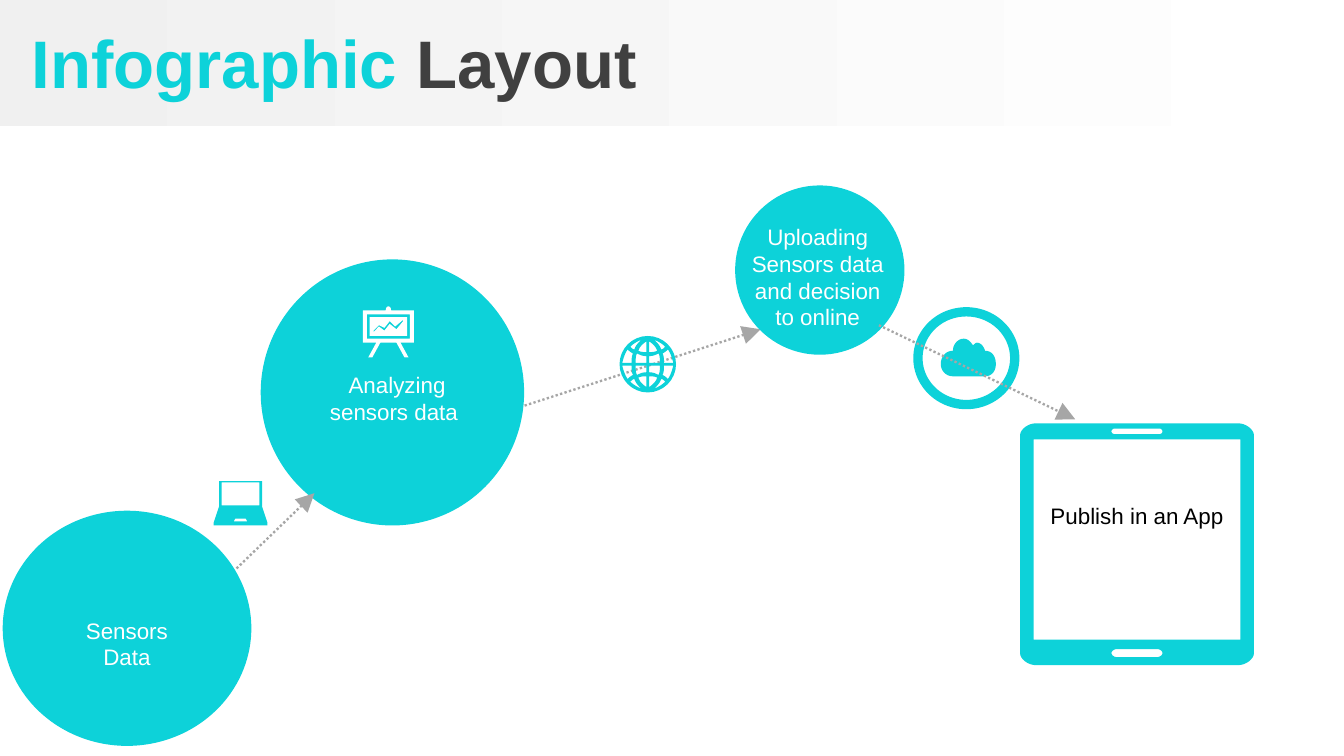
from dataclasses import dataclass

from lxml.etree import SubElement
from pptx import Presentation
from pptx.dml.color import RGBColor
from pptx.enum.dml import MSO_LINE
from pptx.enum.shapes import MSO_CONNECTOR, MSO_SHAPE
from pptx.enum.text import MSO_ANCHOR, MSO_AUTO_SIZE, PP_ALIGN
from pptx.oxml.ns import qn
from pptx.util import Inches, Pt

COLUMNS = 10
ROWS = COLUMNS * 9 / 16


@dataclass(frozen=True)
class Theme:
    accent: str = "0DD2D9"
    dark: str = "404040"
    black: str = "000000"
    white: str = "FFFFFF"
    band: str = "F0F0F0"
    arrow: str = "A6A6A6"
    font: str = "Arial"
    title_size: int = 36
    body_size: int = 12
    arrow_width: float = 1.25
    ring_width: int = 5


def box(left, top, right, bottom):
    return [(left, top), (right, top), (right, bottom), (left, bottom)]


def rounded_box(left, top, right, bottom, across, down):
    """Outline of a box whose corners are curves of the given radii."""
    return [
        (left + across, top), (right - across, top),
        (right - across / 2, top, right, top + down / 2, right, top + down),
        (right, bottom - down),
        (right, bottom - down / 2, right - across / 2, bottom, right - across, bottom),
        (left + across, bottom),
        (left + across / 2, bottom, left, bottom - down / 2, left, bottom - down),
        (left, top + down),
        (left, top + down / 2, left + across / 2, top, left + across, top),
    ]


def flatten(outline, steps=8):
    """Turn (x, y) corners and six-number Bezier curves into plain points."""
    points = []
    for item in outline:
        if len(item) == 2:
            points.append(item)
            continue
        controls = [points[-1], item[:2], item[2:4], item[4:]]
        for step in range(1, steps + 1):
            t = step / steps
            weights = ((1 - t) ** 3, 3 * t * (1 - t) ** 2, 3 * t * t * (1 - t), t ** 3)
            points.append(tuple(
                sum(weight * control[axis] for weight, control in zip(weights, controls))
                for axis in (0, 1)))
    return points


def globe_outlines(center_x, center_y, radius):
    """A disc and four openings that are mirrored into each quarter."""
    arc = 0.55 * radius
    disc = [(center_x, center_y - radius)]
    for start, end in (((0, -1), (1, 0)), ((1, 0), (0, 1)), ((0, 1), (-1, 0)), ((-1, 0), (0, -1))):
        disc.append((
            center_x + start[0] * radius + end[0] * arc,
            center_y + start[1] * radius + end[1] * arc,
            center_x + end[0] * radius + start[0] * arc,
            center_y + end[1] * radius + start[1] * arc,
            center_x + end[0] * radius, center_y + end[1] * radius))
    openings = [
        [(0.01, 0.01), (0.09, 0.01), (0.09, 0.05, 0.09, 0.06, 0.08, 0.08),
         (0.06, 0.07, 0.04, 0.06, 0.01, 0.06)],
        [(0.12, 0.01), (0.19, 0.01), (0.18, 0.05, 0.17, 0.08, 0.15, 0.11),
         (0.14, 0.1, 0.13, 0.09, 0.11, 0.08), (0.12, 0.06, 0.12, 0.04, 0.12, 0.01)],
        [(0.01, 0.09), (0.03, 0.09, 0.05, 0.09, 0.07, 0.1),
         (0.06, 0.13, 0.04, 0.15, 0.01, 0.17)],
        [(0.1, 0.11), (0.11, 0.11, 0.12, 0.12, 0.13, 0.13),
         (0.11, 0.15, 0.08, 0.17, 0.05, 0.18), (0.07, 0.16, 0.09, 0.14, 0.1, 0.11)],
    ]
    return [disc] + [
        [(center_x + across * x, center_y + down * y) for x, y in flatten(opening)]
        for across in (-1, 1) for down in (-1, 1) for opening in openings]


CLOUD = [[
    (7.17, 2.52), (7.2, 2.52, 7.22, 2.54, 7.24, 2.57), (7.25, 2.56, 7.26, 2.55, 7.27, 2.55),
    (7.3, 2.55, 7.32, 2.58, 7.33, 2.61), (7.38, 2.61, 7.41, 2.65, 7.41, 2.71),
    (7.41, 2.76, 7.38, 2.8, 7.33, 2.8), (7.09, 2.8), (7.04, 2.8, 7, 2.76, 7, 2.71),
    (7, 2.65, 7.04, 2.61, 7.09, 2.61), (7.09, 2.56, 7.13, 2.52, 7.17, 2.52),
]]
LAPTOP = [
    [(1.63, 3.58), (1.95, 3.58), (1.95, 3.77), (1.99, 3.89), (1.99, 3.91),
     (1.59, 3.91), (1.59, 3.89), (1.63, 3.77)],
    box(1.65, 3.59, 1.93, 3.76),
    [(1.75, 3.86), (1.83, 3.86), (1.84, 3.88), (1.74, 3.88)],
]
EASEL = [
    [(2.7, 2.31), (2.87, 2.31), (2.87, 2.27, 2.91, 2.27, 2.91, 2.31), (3.08, 2.31),
     (3.08, 2.55), (2.98, 2.55), (3.04, 2.66), (3.01, 2.66), (2.95, 2.55), (2.83, 2.55),
     (2.77, 2.66), (2.74, 2.66), (2.8, 2.55), (2.7, 2.55)],
    box(2.73, 2.34, 3.05, 2.52),
    box(2.75, 2.36, 3.03, 2.5),
    [(2.78, 2.46), (2.82, 2.42), (2.86, 2.44), (2.9, 2.39), (2.94, 2.43), (3, 2.38),
     (3, 2.39), (2.95, 2.45), (2.9, 2.41), (2.86, 2.46), (2.82, 2.43), (2.78, 2.47)],
]
TABLET = [
    rounded_box(7.59, 3.15, 9.33, 4.95, 0.12, 0.09),
    box(7.69, 3.27, 9.23, 4.76),
    rounded_box(8.27, 3.19, 8.65, 3.23, 0.02, 0.02),
    rounded_box(8.27, 4.83, 8.65, 4.89, 0.04, 0.03),
]


class SlideBuilder:
    """Draws on a grid of COLUMNS by ROWS that spans the slide."""

    def __init__(self, presentation, theme):
        self.theme = theme
        self.column = presentation.slide_width / COLUMNS
        self.row = presentation.slide_height / ROWS
        self.slide = presentation.slides.add_slide(presentation.slide_layouts[6])
        self.shapes = self.slide.shapes

    def place(self, *lengths):
        return [round(length * (self.row if index % 2 else self.column))
                for index, length in enumerate(lengths)]

    def paint(self, shape, fill, line=None):
        shape.shadow.inherit = False
        shape.fill.solid()
        shape.fill.fore_color.rgb = RGBColor.from_string(fill)
        if line:
            shape.line.color.rgb = RGBColor.from_string(line)
            shape.line.width = Pt(self.theme.ring_width)
        else:
            shape.line.fill.background()

    def band(self, *area):
        shape = self.shapes.add_shape(MSO_SHAPE.RECTANGLE, *self.place(*area))
        self.paint(shape, self.theme.band)
        shape.fill.gradient()
        shape.fill.gradient_angle = 0
        for stop, position, color in zip(
                shape.fill.gradient_stops, (0, 1), (self.theme.band, self.theme.white)):
            stop.position = position
            stop.color.rgb = RGBColor.from_string(color)

    def circle(self, *area, fill=None, line=None):
        shape = self.shapes.add_shape(MSO_SHAPE.OVAL, *self.place(*area))
        self.paint(shape, fill or self.theme.accent, line)

    def icon(self, outlines, fill=None):
        """One freeform; each inner outline cuts through the one around it."""
        builder = None
        for outline in outlines:
            start, *others = [self.place(*point) for point in flatten(outline)]
            if builder is None:
                builder = self.shapes.build_freeform(*start, scale=1.0)
            else:
                builder.move_to(*start)
            builder.add_line_segments(others, close=True)
        self.paint(builder.convert_to_shape(), fill or self.theme.accent)

    def arrow(self, *ends):
        connector = self.shapes.add_connector(MSO_CONNECTOR.STRAIGHT, *self.place(*ends))
        line = connector.line
        line.color.rgb = RGBColor.from_string(self.theme.arrow)
        for name, value in {"width": Pt(self.theme.arrow_width),
                            "dash_style": MSO_LINE.ROUND_DOT}.items():
            setattr(line, name, value)
        SubElement(line._get_or_add_ln(), qn("a:tailEnd"), type="triangle", w="lg", len="lg")
        SubElement(connector._element.spPr, qn("a:effectLst"))

    def text(self, area, paragraphs, size, align=PP_ALIGN.CENTER, bold=False, **frame_format):
        """Each paragraph is a list of (wording, colour) runs."""
        frame = self.shapes.add_textbox(*self.place(*area)).text_frame
        frame_values = {"word_wrap": True, "auto_size": MSO_AUTO_SIZE.SHAPE_TO_FIT_TEXT}
        for name, value in (frame_values | frame_format).items():
            setattr(frame, name, value)
        for index, runs in enumerate(paragraphs):
            paragraph = frame.add_paragraph() if index else frame.paragraphs[0]
            paragraph.alignment = align
            for wording, color in runs:
                run = paragraph.add_run()
                run.text = wording
                run.font.color.rgb = RGBColor.from_string(color)
                for name, value in {"name": self.theme.font, "size": Pt(size),
                                    "bold": bold}.items():
                    setattr(run.font, name, value)

    def label(self, area, *lines, color=None):
        color = color or self.theme.white
        self.text(area, [[(line, color)] for line in lines], self.theme.body_size)


def main():
    presentation = Presentation()
    presentation.slide_width, presentation.slide_height = Inches(COLUMNS), Inches(ROWS)
    theme = Theme()
    builder = SlideBuilder(presentation, theme)

    builder.band(0, 0, 9.96, 0.94)
    builder.arrow(3.31, 3.21, 5.66, 2.45)
    builder.text((0, 0.03, 10, 0.85),
                 [[(" Infographic ", theme.accent), ("Layout", theme.dark)]],
                 theme.title_size, PP_ALIGN.LEFT, True,
                 auto_size=MSO_AUTO_SIZE.NONE, vertical_anchor=MSO_ANCHOR.MIDDLE)
    builder.circle(1.94, 1.93, 1.96, 1.98)
    builder.circle(5.47, 1.38, 1.26, 1.26)
    builder.circle(6.83, 2.32, 0.72, 0.69, fill=theme.white, line=theme.accent)
    builder.label((7.52, 3.69, 1.88, 0.3), "Publish in an App", color=theme.black)
    builder.icon(CLOUD)
    builder.circle(0.02, 3.8, 1.85, 1.75)
    builder.arrow(1.76, 4.23, 2.34, 3.67)
    builder.label((0.33, 4.54, 1.23, 0.5), "Sensors", "Data")
    builder.label((2.34, 2.71, 1.23, 0.5), "Analyzing sensors data ")
    builder.arrow(6.54, 2.42, 8, 3.12)
    builder.icon(LAPTOP)
    builder.icon(EASEL, theme.white)
    builder.icon(globe_outlines(4.82, 2.71, 0.21))
    builder.label((5.47, 1.61, 1.23, 0.91), "Uploading Sensors data and decision", "to online")
    builder.icon(TABLET)
    presentation.save("out.pptx")


if __name__ == "__main__":
    main()
